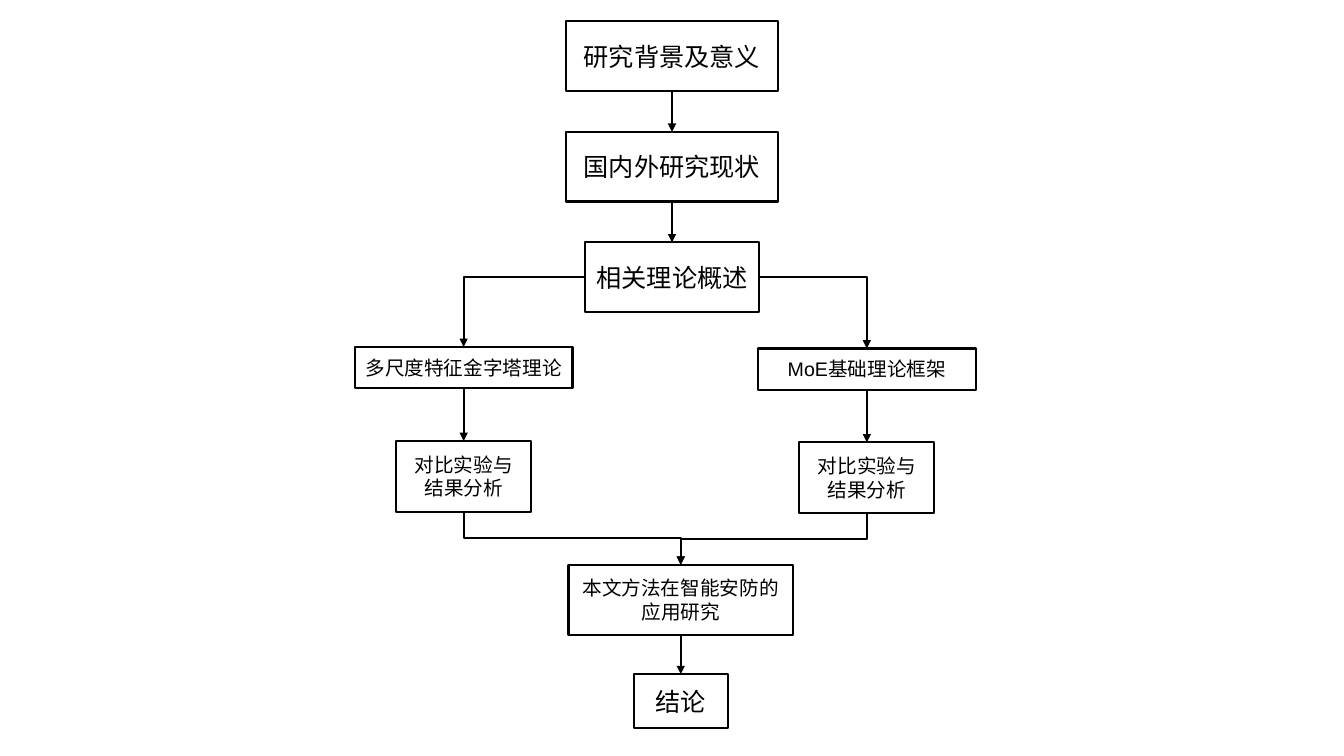
import dataclasses

import pptx
import pptx.dml.color
import pptx.enum.shapes
import pptx.enum.text
import pptx.oxml.ns
import pptx.util
from lxml import etree

BLACK = pptx.dml.color.RGBColor(0, 0, 0)
FONT = "Arial"
LARGE, SMALL = 18, 14
LINE_WIDTH = pptx.util.Pt(1.5)
TOP, LEFT, BOTTOM, RIGHT = range(4)
STRAIGHT = pptx.enum.shapes.MSO_CONNECTOR.STRAIGHT
ELBOW = pptx.enum.shapes.MSO_CONNECTOR.ELBOW


@dataclasses.dataclass
class Box:
    left: float
    top: float
    width: float
    height: float

    def share(self, left, top, width, height):
        return Box(
            self.left + left * self.width,
            self.top + top * self.height,
            width * self.width,
            height * self.height,
        )

    def centred(self, top, width, height):
        return self.share((1 - width) / 2, top, width, height)


def add_step(slide, box, text, size, wrap=False):
    shape = slide.shapes.add_shape(
        pptx.enum.shapes.MSO_SHAPE.RECTANGLE,
        *(round(length) for length in (box.left, box.top, box.width, box.height)),
    )
    shape.shadow.inherit = False
    shape.fill.background()
    shape.line.color.rgb = BLACK
    shape.line.width = LINE_WIDTH
    frame = shape.text_frame
    frame.word_wrap = wrap
    frame.vertical_anchor = pptx.enum.text.MSO_ANCHOR.MIDDLE
    frame.text = text
    for paragraph in frame.paragraphs:
        paragraph.alignment = pptx.enum.text.PP_ALIGN.CENTER
        paragraph.font.name = FONT
        paragraph.font.size = pptx.util.Pt(size)
        paragraph.font.color.rgb = BLACK
    return shape


def add_arrow(slide, kind, start, end):
    points = [round(length) for length in (*start, *end)]
    arrow = slide.shapes.add_connector(kind, *points)
    arrow.line.color.rgb = BLACK
    arrow.line.width = LINE_WIDTH
    line = arrow.line._get_or_add_ln()
    etree.SubElement(line, pptx.oxml.ns.qn("a:tailEnd"), type="triangle")
    properties = arrow._element.spPr
    etree.SubElement(properties, pptx.oxml.ns.qn("a:effectLst"))
    return arrow


def side_point(shape, side):
    across, down = {TOP: (0.5, 0), LEFT: (0, 0.5), BOTTOM: (0.5, 1), RIGHT: (1, 0.5)}[side]
    return shape.left + across * shape.width, shape.top + down * shape.height


def link_down(slide, upper, lower):
    arrow = add_arrow(slide, STRAIGHT, side_point(upper, BOTTOM), side_point(lower, TOP))
    arrow.begin_connect(upper, BOTTOM)
    arrow.end_connect(lower, TOP)


def link_branch(slide, source, side, branch):
    arrow = add_arrow(slide, ELBOW, side_point(source, side), side_point(branch, TOP))
    geometry = arrow._element.spPr.find(pptx.oxml.ns.qn("a:prstGeom"))
    geometry.set("prst", "bentConnector2")


def link_merge(slide, branch, target):
    start_x, start_y = side_point(branch, BOTTOM)
    end_x, end_y = side_point(target, TOP)
    middle_x, middle_y = (start_x + end_x) / 2, (start_y + end_y) / 2
    half_run, half_drop = abs(end_x - start_x) / 2, (end_y - start_y) / 2
    direction = 1 if start_x > end_x else -1
    arrow = add_arrow(
        slide,
        ELBOW,
        (middle_x - direction * half_drop, middle_y - half_run),
        (middle_x + direction * half_drop, middle_y + half_run),
    )
    degrees = 90 if direction == 1 else 270
    arrow._element.spPr.find(pptx.oxml.ns.qn("a:xfrm")).set("rot", str(degrees * 60000))


def add_opening(slide, box):
    steps = [("研究背景及意义", 1), ("国内外研究现状", 1), ("相关理论概述", 0.82)]
    height = 0.24
    pitch = (1 - height) / (len(steps) - 1)
    shapes = [
        add_step(slide, box.centred(row * pitch, width, height), text, LARGE)
        for row, (text, width) in enumerate(steps)
    ]
    for upper, lower in zip(shapes, shapes[1:]):
        link_down(slide, upper, lower)
    return shapes[-1]


def add_branch(slide, box, theory_text):
    theory = add_step(slide, box.centred(0, 1, 0.25), theory_text, SMALL)
    experiment = add_step(
        slide, box.centred(0.57, 0.62, 0.43), "对比实验与结果分析", SMALL, wrap=True
    )
    link_down(slide, theory, experiment)
    return theory, experiment


def add_closing(slide, box):
    application = add_step(
        slide, box.centred(0, 1, 0.43), "本文方法在智能安防的\n应用研究", SMALL
    )
    conclusion = add_step(slide, box.centred(0.67, 0.42, 0.33), "结论", LARGE)
    link_down(slide, application, conclusion)
    return application


def add_flowchart(slide, box):
    overview = add_opening(slide, box.share(0.421, 0.028, 0.158, 0.385))
    application = add_closing(slide, box.share(0.423, 0.747, 0.167, 0.216))
    branches = [
        (LEFT, 0.264, 0.459, "多尺度特征金字塔理论"),
        (RIGHT, 0.564, 0.461, "MoE基础理论框架"),
    ]
    for side, left, top, text in branches:
        theory, experiment = add_branch(slide, box.share(left, top, 0.162, 0.218), text)
        link_branch(slide, overview, side, theory)
        link_merge(slide, experiment, application)


def main():
    presentation = pptx.Presentation()
    presentation.slide_width = pptx.util.Inches(13.33)
    presentation.slide_height = pptx.util.Inches(7.5)
    slide = presentation.slides.add_slide(presentation.slide_layouts[6])
    add_flowchart(slide, Box(0, 0, presentation.slide_width, presentation.slide_height))
    presentation.save("out.pptx")


if __name__ == "__main__":
    main()
